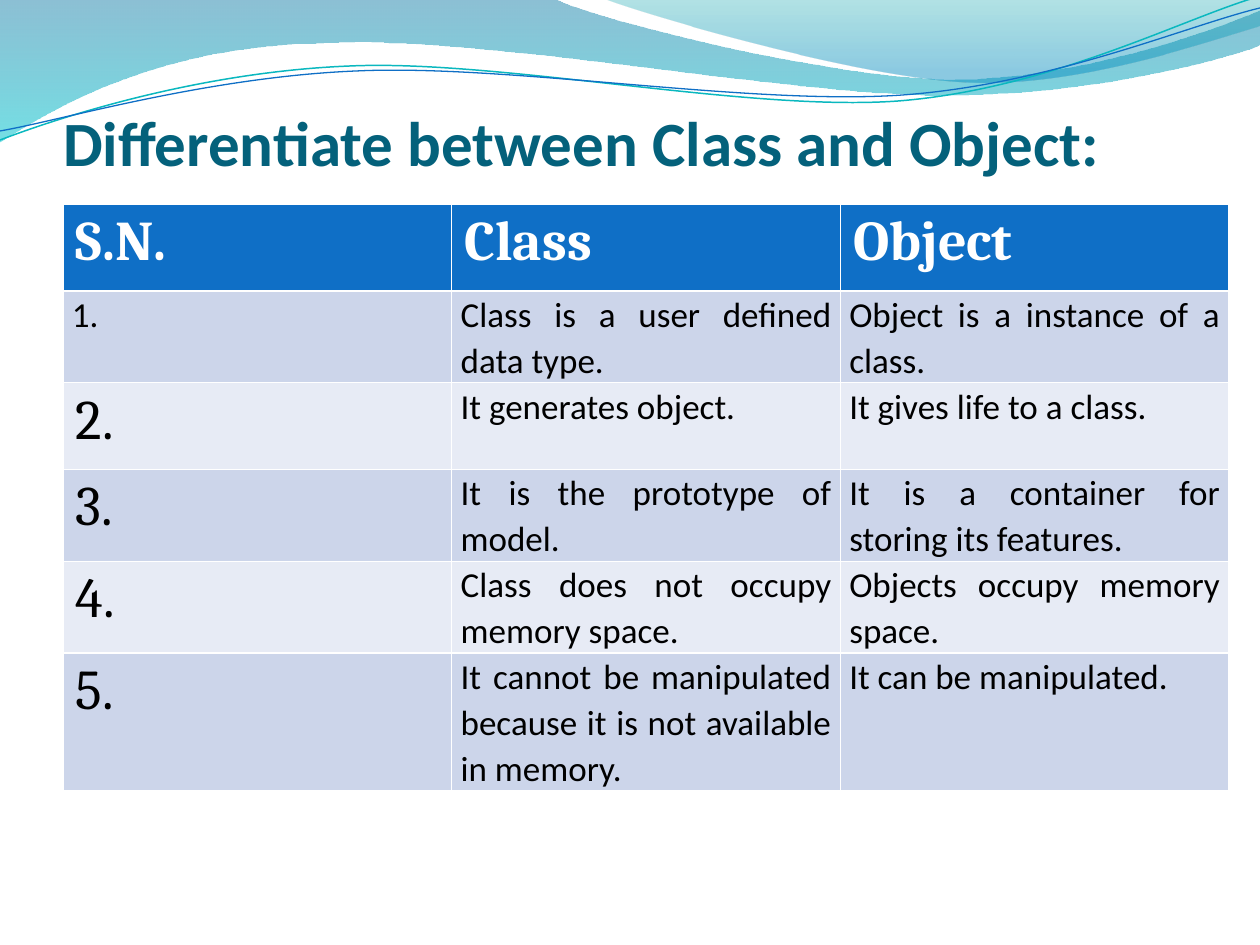
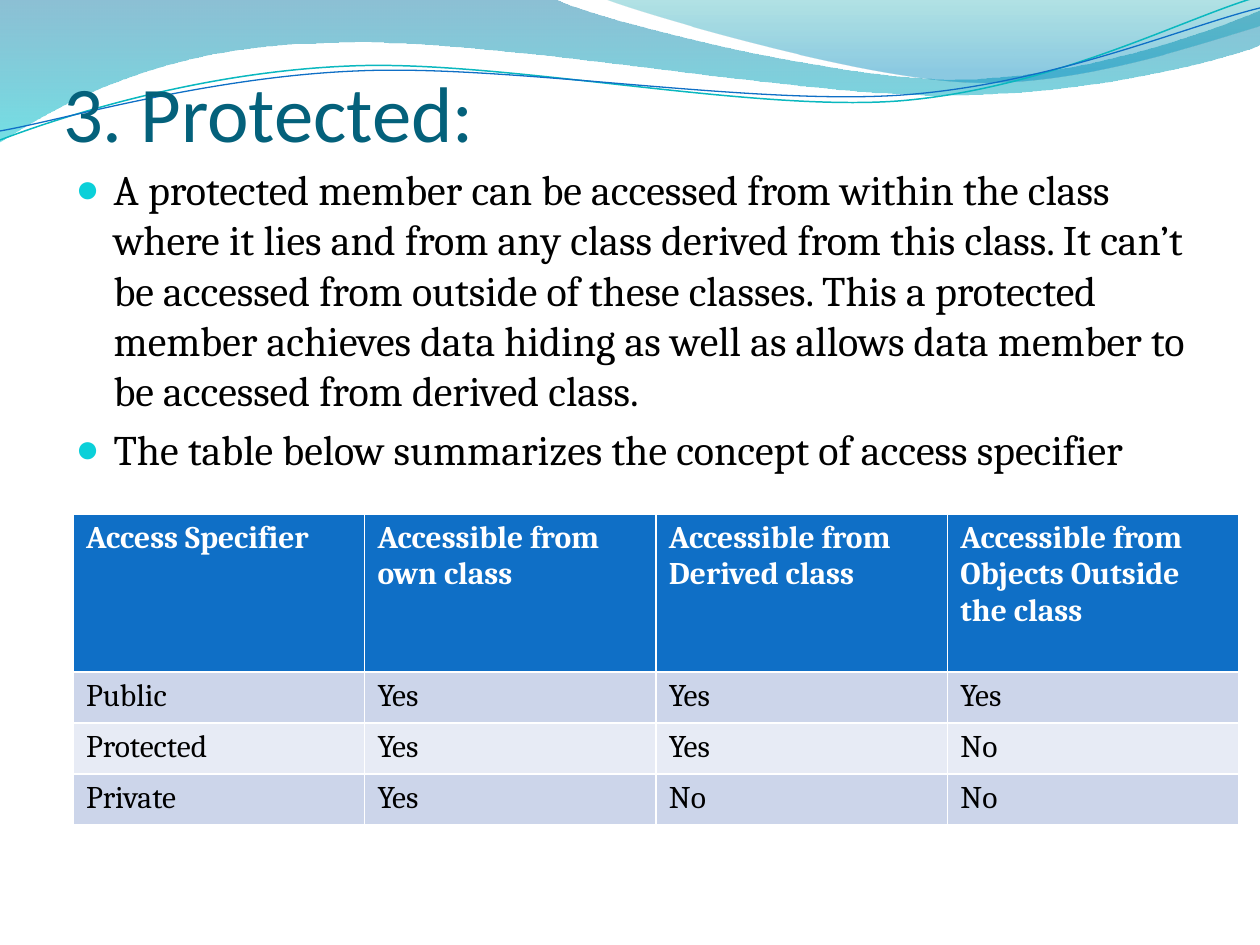
from lxml.etree import SubElement
from pptx import Presentation
from pptx.dml.color import RGBColor
from pptx.enum.text import MSO_ANCHOR, MSO_AUTO_SIZE, PP_ALIGN
from pptx.oxml.ns import qn
from pptx.util import Emu, Pt

# Shared look
EMU_PER_PX = 914400 / 126
SLIDE_SIZE = (1260, 945)
BLACK, WHITE, TITLE_TEAL, HEADER_BLUE = "000000", "FFFFFF", "04617B", "0F6FC6"
BULLET_CYAN = "0BD0D9"
BAND_COLOURS = ("CCD5EA", "E7EBF5")
TITLE_ONLY, TITLE_AND_CONTENT = 5, 1

# Cell styles: font values, colour, paragraph values, margins
DETAIL_PARAGRAPH = {"alignment": PP_ALIGN.JUSTIFY, "line_spacing": 1.07}
PLAIN_MARGINS = {"margin_left": 13, "margin_right": 13, "margin_top": 6, "margin_bottom": 6}
TIGHT_MARGINS = {"margin_left": 9, "margin_right": 9, "margin_top": 0, "margin_bottom": 0}


def cambria(size, bold):
    return {"name": "Cambria", "size": Pt(size), "bold": bold}


CELL_STYLES = {
    "large header": (cambria(32, True), WHITE, {}, PLAIN_MARGINS),
    "numeral": (cambria(32, False), BLACK, {}, PLAIN_MARGINS),
    "detail": ({"name": "Calibri", "size": Pt(20), "bold": False}, BLACK,
               DETAIL_PARAGRAPH, TIGHT_MARGINS),
    "header": (cambria(18, True), WHITE, {}, PLAIN_MARGINS),
    "entry": (cambria(18, False), BLACK, {}, PLAIN_MARGINS),
}

# Waves at the top: start point, then straight (2 numbers) or curved (6 numbers) segments
FILLED_WAVES = [
    ((0, 0),
     [(554, -1), (600, 21, 837, 79, 955, 79), (1075, 79, 1207, 33, 1260, 11), (1261, 45),
      (1239, 55, 1096, 96, 940, 95), (784, 95, 481, 35, 324, 43),
      (163, 45, 58, 105, -1, 142), (0, 0)],
     [(0, "0074A1", 45), (100, "00C6CF", 55)]),
    ((604, -1),
     [(641, 14, 859, 78, 969, 82), (1079, 87, 1211, 40, 1260, 26), (1260, 0), (604, -1)],
     [(0, "00A1A9", 30), (80, "008BBF", 45)]),
]
LINE_WAVES = [
    ((0, 140),
     [(60, 117, 199, 72, 349, 66), (498, 59, 747, 112, 898, 101),
      (1050, 89, 1182, 19, 1257, -3)], "0AB8BF", 0.85),
    ((0, 131),
     [(59, 121, 207, 77, 357, 71), (508, 64, 752, 106, 903, 95),
      (1053, 84, 1186, 26, 1260, 8)], "0F6FC6", 0.75),
]

# Slide content
NUMBERED = ["numeral", "detail", "detail"]
SLIDES = [
    {
        "layout": TITLE_ONLY,
        "title": ("Differentiate between Class and Object:", 36, True),
        "title_box": (63, 97, 1134, 158),
        "title_bottom": 76,
        "bullets": [],
        "table_place": (63, 204),
        "row_heights": [87] * 6,
        "rows": [
            (["large header"] * 3, ["S.N.", "Class", "Object"]),
            (["detail"] * 3, ["1.", "Class is a user defined data type.",
                              "Object is a instance of a class."]),
            (NUMBERED, ["2.", "It generates object.", "It gives life to a class."]),
            (NUMBERED, ["3.", "It is the prototype of model.",
                        "It is a container for storing its features."]),
            (NUMBERED, ["4.", "Class does not occupy memory space.",
                        "Objects occupy memory space."]),
            (NUMBERED, ["5.", "It cannot be manipulated because it is not available in memory.",
                        "It can be manipulated."]),
        ],
    },
    {
        "layout": TITLE_AND_CONTENT,
        "title": ("3. Protected:", 45, False),
        "title_box": (63, 53, 1134, 105),
        "title_bottom": 0,
        "bullets": [
            "A protected member can be accessed from within the class where it lies and from "
            "any class derived from this class. It can’t be accessed from outside of these "
            "classes. This a protected member achieves data hiding as well as allows data "
            "member to be accessed from derived class.",
            "The table below summarizes the concept of access specifier",
        ],
        "table_place": (73, 514),
        "row_heights": [158, 51, 51, 51],
        "rows": [
            (["header"] * 4, ["Access Specifier", "Accessible from own class",
                              "Accessible from Derived class",
                              "Accessible from Objects Outside the class"]),
            (["entry"] * 4, ["Public", "Yes", "Yes", "Yes"]),
            (["entry"] * 4, ["Protected", "Yes", "Yes", "No"]),
            (["entry"] * 4, ["Private", "Yes", "No", "No"]),
        ],
    },
]
BODY_BOX = (63, 157, 1134, 347)
TABLE_WIDTH = 1166


# Helpers
def px(length):
    return Emu(round(length * EMU_PER_PX))


def colour(hex_code):
    return RGBColor.from_string(hex_code)


def apply_values(target, values):
    for name, value in values.items():
        setattr(target, name, value)


def place(shape, box):
    apply_values(shape, dict(zip(("left", "top", "width", "height"), map(px, box))))


def format_font(font, values, hex_code):
    apply_values(font, values)
    font.color.rgb = colour(hex_code)


# Waves
def add_wave(slide, start, segments, close):
    """Lay out every point as a line, then join each curve's three points."""
    points = [(px(segment[i]), px(segment[i + 1]))
              for segment in segments for i in range(0, len(segment), 2)]
    builder = slide.shapes.build_freeform(px(start[0]), px(start[1]))
    builder.add_line_segments(points, close=close)
    wave = builder.convert_to_shape()
    wave.shadow.inherit = False

    lines = iter(list(wave.element.iter(qn("a:lnTo"))))
    for segment in segments:
        parts = [next(lines) for _ in range(len(segment) // 2)]
        if len(parts) == 3:
            outline = parts[0].getparent()
            curve = outline.makeelement(qn("a:cubicBezTo"))
            outline.replace(parts[0], curve)
            for part in parts:
                curve.append(part[0])
            for part in parts[1:]:
                outline.remove(part)
    return wave


def fill_with_gradient(shape, stops):
    shape.fill.gradient()
    shape.fill.gradient_angle = 270
    for gradient_stop, (position, hex_code, _) in zip(shape.fill.gradient_stops, stops):
        gradient_stop.position = position / 100
        gradient_stop.color.rgb = colour(hex_code)
    for element, stop in zip(shape.element.spPr.iter(qn("a:srgbClr")), stops):
        SubElement(element, qn("a:alpha"), val=str(stop[2] * 1000))


def add_waves_to_master(presentation, slide):
    waves = []
    for start, segments, stops in FILLED_WAVES:
        wave = add_wave(slide, start, segments, True)
        fill_with_gradient(wave, stops)
        wave.line.fill.background()
        waves.append(wave)
    for start, segments, hex_code, width in LINE_WAVES:
        wave = add_wave(slide, start, segments, False)
        wave.fill.background()
        wave.line.color.rgb = colour(hex_code)
        wave.line.width = Pt(width)
        waves.append(wave)
    # Freeforms are built on a slide, then moved behind the master's placeholders
    master_tree = presentation.slide_master.element.cSld.spTree
    for index, wave in enumerate(waves, start=2):
        master_tree.insert(index, wave.element)


# Title and list
def fill_title(slide, content):
    text, size, bold = content["title"]
    title = slide.shapes.title
    place(title, content["title_box"])
    frame = title.text_frame
    apply_values(frame, {
        "text": text, "word_wrap": True, "auto_size": MSO_AUTO_SIZE.NONE,
        "vertical_anchor": MSO_ANCHOR.BOTTOM, "margin_left": 0, "margin_right": 0,
        "margin_top": px(6), "margin_bottom": px(content["title_bottom"])})
    paragraph = frame.paragraphs[0]
    paragraph.alignment = PP_ALIGN.LEFT
    format_font(paragraph.runs[0].font,
                {"name": "Calibri", "size": Pt(size), "bold": bold}, TITLE_TEAL)


def set_bullet(paragraph):
    properties = paragraph._p.get_or_add_pPr()
    for name, value in {"marL": px(38), "indent": -px(38)}.items():
        properties.set(name, str(value))
    SubElement(SubElement(properties, qn("a:buClr")), qn("a:srgbClr"), val=BULLET_CYAN)
    SubElement(properties, qn("a:buSzPct"), val="95000")
    SubElement(properties, qn("a:buChar"), char="●")


def fill_body(slide, bullets):
    body = slide.placeholders[1]
    place(body, BODY_BOX)
    frame = body.text_frame
    apply_values(frame, {"text": "\n".join(bullets), "auto_size": MSO_AUTO_SIZE.NONE,
                         "margin_right": px(10)})
    for paragraph in frame.paragraphs:
        set_bullet(paragraph)
        format_font(paragraph.runs[0].font, cambria(24, False), BLACK)


# Tables
def fill_cell(cell, text, style, row_index):
    font_values, hex_code, paragraph_values, margins = CELL_STYLES[style]
    cell.text = text
    apply_values(cell, {name: px(margin) for name, margin in margins.items()})
    paragraph = cell.text_frame.paragraphs[0]
    apply_values(paragraph, paragraph_values)
    format_font(paragraph.runs[0].font, font_values, hex_code)
    cell.fill.solid()
    background = BAND_COLOURS[(row_index - 1) % 2] if row_index else HEADER_BLUE
    cell.fill.fore_color.rgb = colour(background)


def add_content_table(slide, content):
    rows, heights = content["rows"], content["row_heights"]
    box = (*content["table_place"], TABLE_WIDTH, sum(heights))
    # Columns share the width equally; the table style draws the white borders
    table = slide.shapes.add_table(len(rows), len(rows[0][1]), *map(px, box)).table
    for row_index, (styles, texts) in enumerate(rows):
        table.rows[row_index].height = px(heights[row_index])
        for column_index, (style, text) in enumerate(zip(styles, texts)):
            fill_cell(table.cell(row_index, column_index), text, style, row_index)


def main():
    presentation = Presentation()
    presentation.slide_width, presentation.slide_height = map(px, SLIDE_SIZE)
    for content in SLIDES:
        slide = presentation.slides.add_slide(presentation.slide_layouts[content["layout"]])
        fill_title(slide, content)
        if content["bullets"]:
            fill_body(slide, content["bullets"])
        add_content_table(slide, content)
    add_waves_to_master(presentation, presentation.slides[0])
    presentation.save("out.pptx")


if __name__ == "__main__":
    main()
